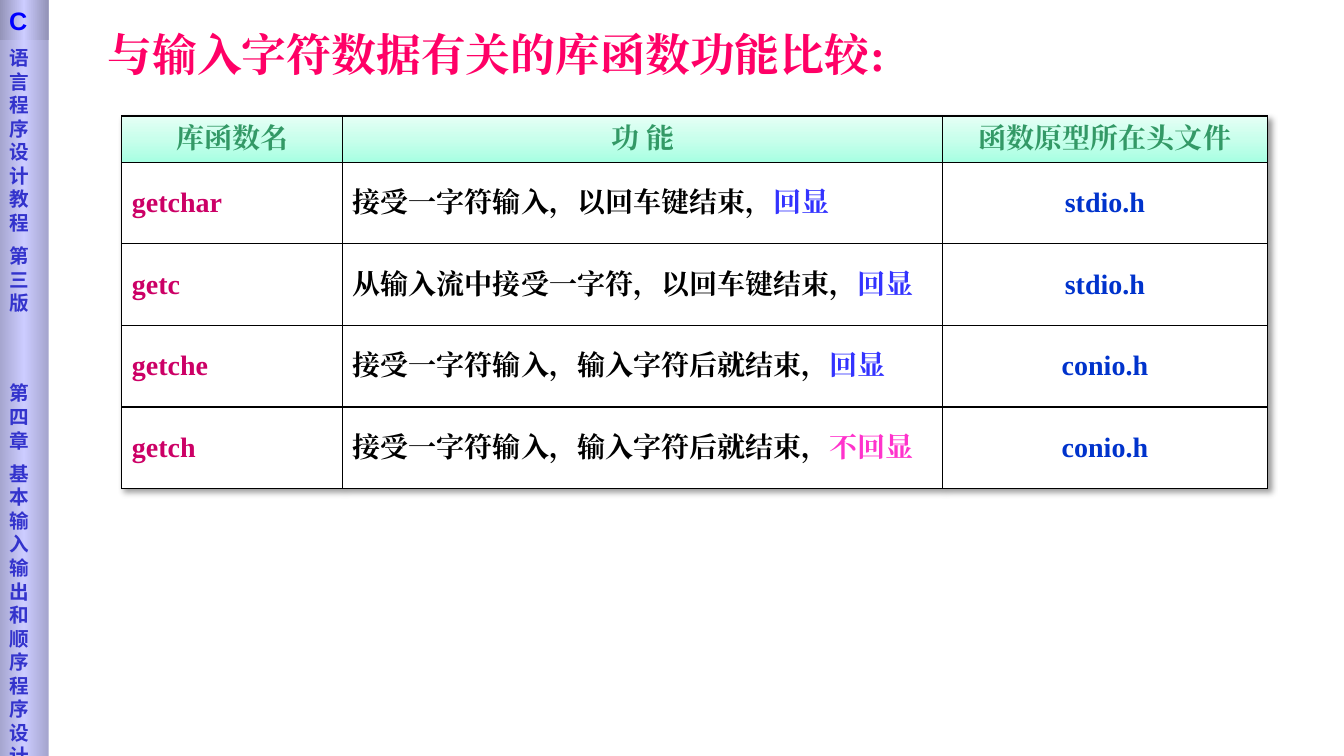
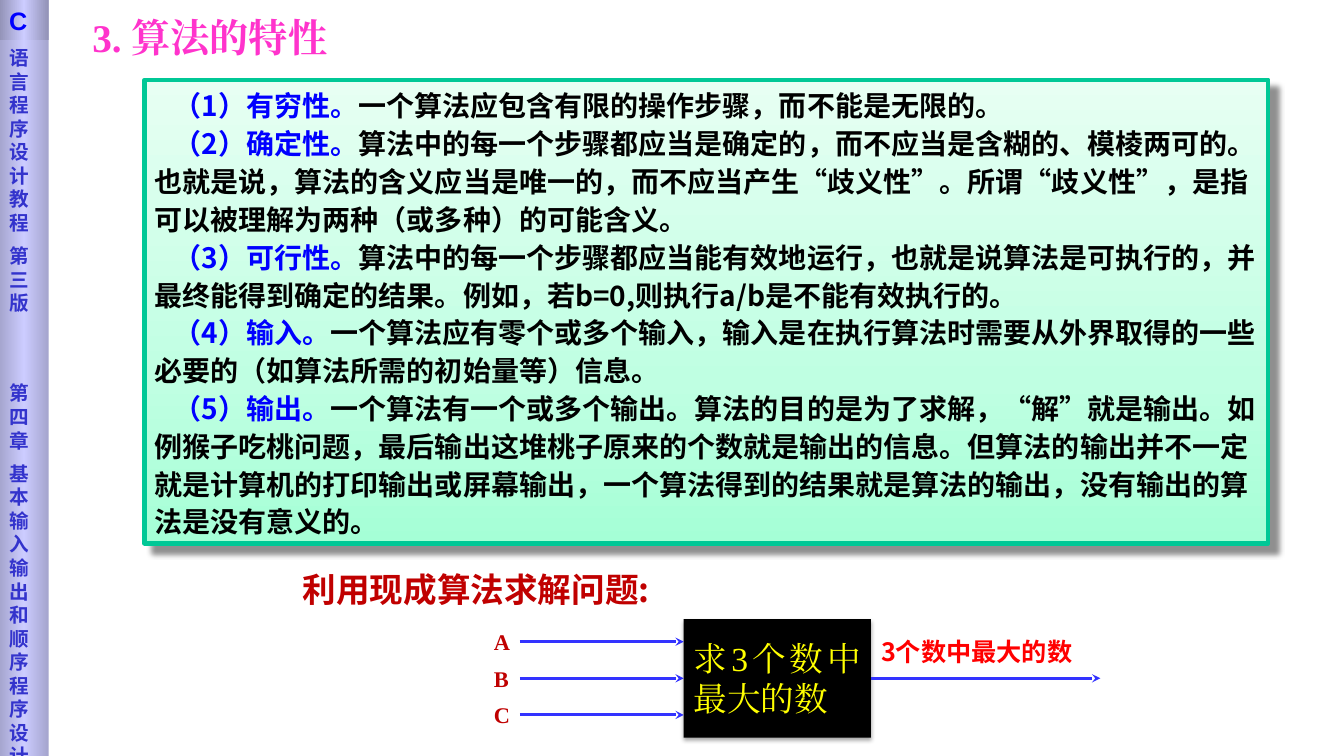
import pptx
import pptx.util
import pptx.dml.color
import pptx.enum.shapes
import pptx.enum.text
import pptx.oxml
import pptx.oxml.ns

RGB = pptx.dml.color.RGBColor
Pt = pptx.util.Pt
ALIGN = pptx.enum.text.PP_ALIGN
ANCHOR = pptx.enum.text.MSO_ANCHOR
qn = pptx.oxml.ns.qn

COLUMNS, ROWS = 160, 90
SLIDE_W, SLIDE_H = pptx.util.Inches(13.333), pptx.util.Inches(7.5)

BLACK = RGB(0x00, 0x00, 0x00)
WHITE = RGB(0xFF, 0xFF, 0xFF)
ROSE = RGB(0xFF, 0x00, 0x66)
PINK = RGB(0xFF, 0x33, 0xCC)
CRIMSON = RGB(0xCC, 0x00, 0x66)
RED = RGB(0xFF, 0x00, 0x00)
DARK_RED = RGB(0xC0, 0x00, 0x00)
GREEN = RGB(0x33, 0x99, 0x66)
TEAL = RGB(0x00, 0xC8, 0x96)
BLUE = RGB(0x00, 0x00, 0xFF)
SOFT_BLUE = RGB(0x33, 0x33, 0xFF)
HEADER_BLUE = RGB(0x00, 0x33, 0xCC)
SIDE_BLUE = RGB(0x33, 0x33, 0xCC)
YELLOW = RGB(0xFF, 0xFF, 0x00)
LILAC = RGB(0xCC, 0xCC, 0xFF)
LILAC_EDGE = RGB(0xA4, 0xA4, 0xCD)
CAP_EDGE = RGB(0x92, 0x92, 0xB6)

BAND_FILL = ([(0, LILAC_EDGE), (50, LILAC), (100, LILAC_EDGE)], 0)
CAP_FILL = ([(0, CAP_EDGE), (50, LILAC), (100, CAP_EDGE)], 0)
HEAD_FILL = ([(0, RGB(0xA7, 0xFF, 0xE2)), (50, RGB(0xC9, 0xFF, 0xEC)),
              (100, RGB(0xE5, 0xFF, 0xF5))], 270)
PANEL_FILL = ([(0, RGB(0xA5, 0xFF, 0xD6)), (35, RGB(0xBF, 0xFF, 0xE2)),
               (100, RGB(0xE7, 0xFF, 0xF3))], 270)

SERIF = "Times New Roman"
SANS = "Noto Sans CJK SC"
INSET_X, INSET_Y = 1.2, 0.6

SIDE_TEXT = [("语言程序设计教程", 0), ("第三版", 7), ("第四章", 47.5),
             ("基本输入输出和顺序程序设计", 7)]

ECHO = ("回显", SOFT_BLUE)
FUNCTIONS = [
    ("getchar", "接受一字符输入，以回车键结束，", ECHO, "stdio.h"),
    ("getc", "从输入流中接受一字符，以回车键结束，", ECHO, "stdio.h"),
    ("getche", "接受一字符输入，输入字符后就结束，", ECHO, "conio.h"),
    ("getch", "接受一字符输入，输入字符后就结束，", ("不回显", PINK), "conio.h"),
]

PROPERTIES = [
    ("（1）有穷性。", "一个算法应包含有限的操作步骤，而不能是无限的。"),
    ("（2）确定性。", "算法中的每一个步骤都应当是确定的，而不应当是含糊的、模棱两可的。"
     "也就是说，算法的含义应当是唯一的，而不应当产生“歧义性”。所谓“歧义性”，"
     "是指可以被理解为两种（或多种）的可能含义。"),
    ("（3）可行性。", "算法中的每一个步骤都应当能有效地运行，也就是说算法是可执行的，"
     "并最终能得到确定的结果。例如，若b=0,则执行a/b是不能有效执行的。"),
    ("（4）输入。", "一个算法应有零个或多个输入，输入是在执行算法时需要从外界取得的"
     "一些必要的（如算法所需的初始量等）信息。"),
    ("（5）输出。", "一个算法有一个或多个输出。算法的目的是为了求解，“解”就是输出。"
     "如例猴子吃桃问题，最后输出这堆桃子原来的个数就是输出的信息。"
     "但算法的输出并不一定就是计算机的打印输出或屏幕输出，"
     "一个算法得到的结果就是算法的输出，没有输出的算法是没有意义的。"),
]


def col(n):
    return round(SLIDE_W * n / COLUMNS)


def row(n):
    return round(SLIDE_H * n / ROWS)


def box(x, y, w, h):
    return col(x), row(y), col(w), row(h)


def xml(body):
    return pptx.oxml.parse_xml(
        body.replace(">", f" {pptx.oxml.ns.nsdecls('a')}>", 1))


def gradient(stops, angle):
    gs = "".join(f'<a:gs pos="{pos * 1000}"><a:srgbClr val="{color}"/></a:gs>'
                 for pos, color in stops)
    return xml(f'<a:gradFill rotWithShape="1"><a:gsLst>{gs}</a:gsLst>'
               f'<a:lin ang="{angle * 60000}" scaled="0"/></a:gradFill>')


def shadow(alpha, blur, dist, angle):
    return xml(f'<a:effectLst><a:outerShdw blurRad="{Pt(blur)}" dist="{Pt(dist)}" '
               f'dir="{angle * 60000}" algn="tl" rotWithShape="0">'
               f'<a:srgbClr val="{BLACK}"><a:alpha val="{alpha * 1000}"/></a:srgbClr>'
               '</a:outerShdw></a:effectLst>')


def write(p, runs, size, font=SERIF, bold=True, align=ALIGN.LEFT):
    p.alignment = align
    for text, color in runs:
        r = p.add_run()
        r.text = text
        r.font.size = Pt(size)
        r.font.bold = bold
        r.font.color.rgb = color
        r.font.name = font
        rPr = r._r.get_or_add_rPr()
        rPr.append(xml(f'<a:ea typeface="{font}"></a:ea>'))


def frame(sp, anchor=ANCHOR.TOP, top=INSET_Y, wrap=True):
    tf = sp.text_frame
    tf.word_wrap = wrap
    tf.vertical_anchor = anchor
    tf.margin_left = tf.margin_right = col(INSET_X)
    tf.margin_top, tf.margin_bottom = row(top), row(INSET_Y)
    return tf


def add_label(s, area, text, size, color, font=SERIF, align=ALIGN.LEFT,
              anchor=ANCHOR.TOP, top=INSET_Y, wrap=True):
    sp = s.shapes.add_textbox(*box(*area))
    write(frame(sp, anchor, top, wrap).paragraphs[0], [(text, color)],
          size, font, align=align)


def add_title(s, area, text, size, color):
    add_label(s, area, text, size, color, anchor=ANCHOR.MIDDLE, wrap=False)


def add_block(s, area, fill, effect=None):
    sp = s.shapes.add_shape(pptx.enum.shapes.MSO_SHAPE.RECTANGLE, *box(*area))
    sp.line.fill.background()
    spPr = sp._element.spPr
    if isinstance(fill, RGB):
        sp.fill.solid()
        sp.fill.fore_color.rgb = fill
    else:
        spPr.insert(2, gradient(*fill))
    if effect:
        spPr.append(shadow(*effect))
    else:
        sp.shadow.inherit = False
    return sp


def add_sidebar(s):
    tf = frame(add_block(s, (-0.1, 0, 5.9, ROWS), BAND_FILL), top=5.5)
    for i, (text, gap) in enumerate(SIDE_TEXT):
        p = tf.add_paragraph() if i else tf.paragraphs[0]
        write(p, [(text, SIDE_BLUE)], 14, "DejaVu Sans")
        p.line_spacing = Pt(16.8)
        p.space_before = Pt(gap)
    cap = frame(add_block(s, (-0.1, 0, 5.9, 4.8), CAP_FILL), ANCHOR.MIDDLE)
    write(cap.paragraphs[0], [("C", BLUE)], 18, "Arial")


def set_cell(cell, runs, align, fill=None):
    cell.vertical_anchor = ANCHOR.MIDDLE
    write(cell.text_frame.paragraphs[0], runs, 20, align=align)
    tcPr = cell._tc.get_or_add_tcPr()
    for side in ("lnL", "lnR", "lnT", "lnB"):
        tcPr.append(xml(f'<a:{side} w="{Pt(1)}"><a:solidFill>'
                        f'<a:srgbClr val="{BLACK}"/></a:solidFill></a:{side}>'))
    if fill:
        tcPr.append(gradient(*fill))
    else:
        cell.fill.solid()
        cell.fill.fore_color.rgb = WHITE


def add_function_table(s):
    widths = (26.3, 71.4, 38.7)
    heights = [5.5] + [9.72] * len(FUNCTIONS)
    area = box(14.5, 13.8, sum(widths), sum(heights))
    tbl = s.shapes.add_table(len(heights), len(widths), *area).table
    tbl._tbl.tblPr.insert(0, shadow(40, 4, 3, 45))
    for column, width in zip(tbl.columns, widths):
        column.width = col(width)
    for line, height in zip(tbl.rows, heights):
        line.height = row(height)
    for i, text in enumerate(("库函数名", "功 能", "函数原型所在头文件")):
        set_cell(tbl.cell(0, i), [(text, GREEN)], ALIGN.CENTER, HEAD_FILL)
    for i, (name, action, echo, header) in enumerate(FUNCTIONS, 1):
        set_cell(tbl.cell(i, 0), [(name, CRIMSON)], ALIGN.LEFT)
        set_cell(tbl.cell(i, 1), [(action, BLACK), echo], ALIGN.LEFT)
        set_cell(tbl.cell(i, 2), [(header, HEADER_BLUE)], ALIGN.CENTER)


def add_panel(s):
    sp = add_block(s, (17.2, 9.5, 133.8, 55.2), PANEL_FILL, (43, 4, 8.4, 45))
    sp.line.color.rgb = TEAL
    sp.line.width = Pt(3)
    tf = frame(sp)
    for i, (name, text) in enumerate(PROPERTIES):
        p = tf.add_paragraph() if i else tf.paragraphs[0]
        write(p, [(name, BLUE), (text, BLACK)], 20, SANS)
        p.line_spacing = Pt(27)
        p._p.get_or_add_pPr().set("indent", str(col(2.25)))


def add_arrow(s, x1, x2, y):
    cxn = s.shapes.add_connector(pptx.enum.shapes.MSO_CONNECTOR.STRAIGHT,
                                 col(x1), row(y), col(x2), row(y))
    cxn.line.color.rgb = SOFT_BLUE
    cxn.line.width = Pt(2)
    cxn.line._get_or_add_ln().append(xml('<a:tailEnd type="stealth"></a:tailEnd>'))
    cxn._element.spPr.append(xml("<a:effectLst></a:effectLst>"))
    return cxn


def add_flow(s):
    left, top, width, height = 81.4, 73.7, 22.3, 14.1
    right, middle = left + width, top + height / 2
    solver = add_block(s, (left, top, width, height), BLACK, (35, 3.1, 1.8, 90))
    p = frame(solver, ANCHOR.MIDDLE).paragraphs[0]
    write(p, [("求3个数中最大的数", YELLOW)], 24, bold=False, align=ALIGN.JUSTIFY)
    p.line_spacing = Pt(28.8)
    for i, name in enumerate("ABC", -1):
        y = middle + 4.36 * i
        add_label(s, (57.6, y - 2.2, 3.9, 4), name, 16, DARK_RED)
        arrow = add_arrow(s, 61.9, left, y)
        if i == 0:
            arrow.end_connect(solver, 1)
    add_arrow(s, right, 131, middle).begin_connect(solver, 3)
    add_label(s, (right, 75.7, 26.4, 4.3), "3个数中最大的数", 18, RED, SANS, top=0)
    add_label(s, (32.8, 67.7, 47.8, 4.9), "利用现成算法求解问题:", 24, DARK_RED,
              SANS, ALIGN.CENTER, top=0)


def main():
    prs = pptx.Presentation()
    prs.slide_width, prs.slide_height = SLIDE_W, SLIDE_H
    blank = prs.slide_layouts[6]

    s = prs.slides.add_slide(blank)
    add_function_table(s)
    add_title(s, (11.6, 2.6, 96.2, 7.6), "与输入字符数据有关的库函数功能比较:", 32, ROSE)
    add_sidebar(s)

    s = prs.slides.add_slide(blank)
    add_title(s, (9.8, 1, 73, 6.8), "3. 算法的特性", 28, PINK)
    add_panel(s)
    add_sidebar(s)
    add_flow(s)

    prs.save("out.pptx")


if __name__ == "__main__":
    main()
